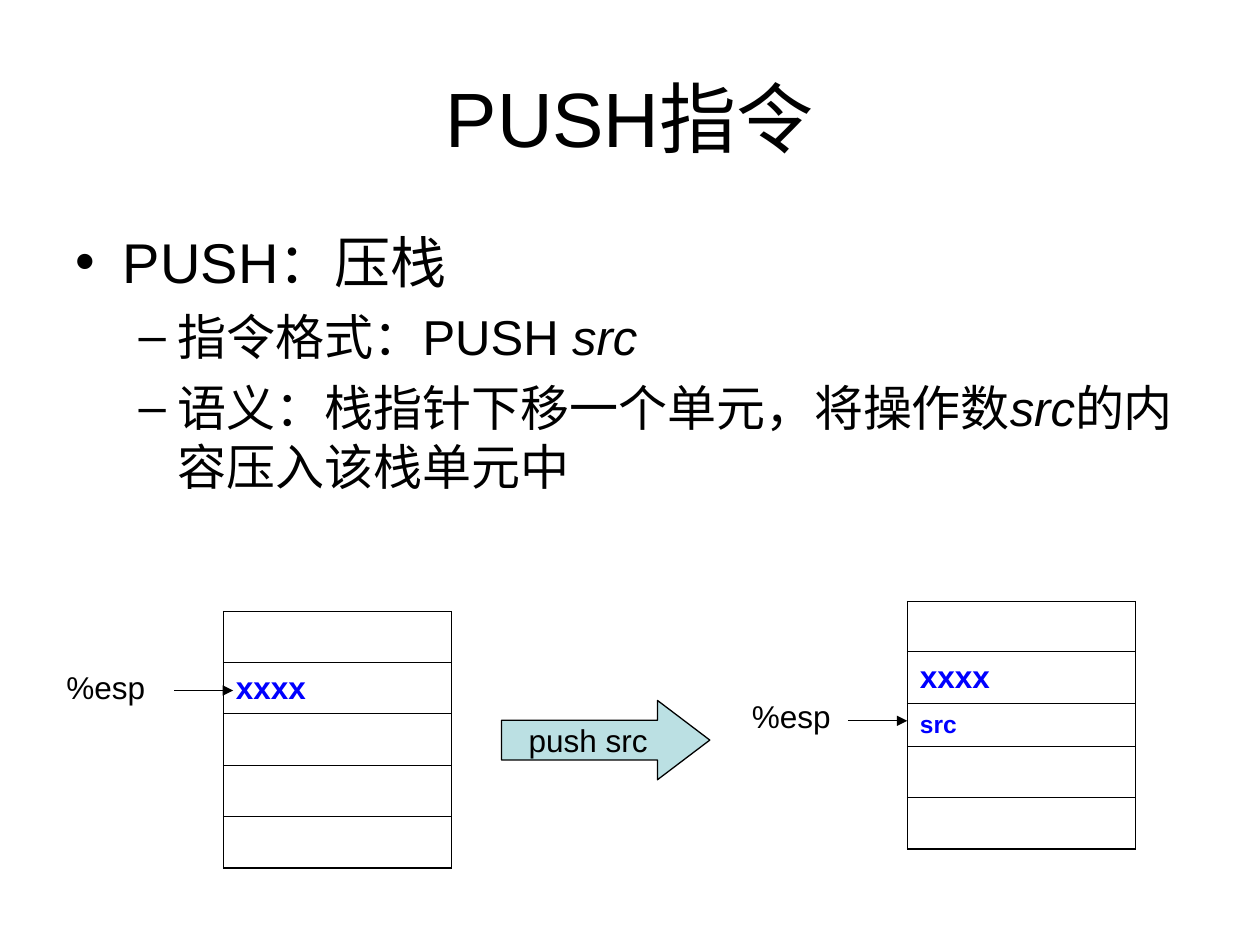
"""Build a slide that explains the PUSH instruction with a stack before and after."""
from lxml.etree import SubElement
from pptx import Presentation
from pptx.dml.color import RGBColor
from pptx.enum.shapes import MSO_CONNECTOR, MSO_SHAPE
from pptx.enum.text import MSO_ANCHOR, MSO_AUTO_SIZE, PP_ALIGN
from pptx.oxml.ns import qn
from pptx.util import Cm, Pt

BLACK = RGBColor(0, 0, 0)
BLUE = RGBColor(0, 0, 255)
TEAL = RGBColor(0xBB, 0xE0, 0xE3)


def write(para, text, size=18, color=BLACK, bold=False, italic=False):
    run = para.add_run()
    run.text = text
    font = run.font
    font.name, font.size = "Arial", Pt(size)
    font.bold, font.italic = bold, italic
    font.color.rgb = color


def edge(cell, side, width):
    line = SubElement(cell._tc.get_or_add_tcPr(), qn(f"a:ln{side}"), w=str(Pt(width)))
    fill = SubElement(line, qn("a:solidFill"))
    SubElement(fill, qn("a:srgbClr"), val=str(BLACK))


deck = Presentation()
deck.slide_width, deck.slide_height = Cm(25.4), Cm(19.05)
slide = deck.slides.add_slide(deck.slide_layouts[1])
shapes = slide.shapes

title = shapes.title
title.left, title.top, title.width, title.height = Cm(1.27), Cm(0.76), Cm(22.86), Cm(3.18)
title.text_frame.vertical_anchor = MSO_ANCHOR.MIDDLE
title.text_frame.paragraphs[0].alignment = PP_ALIGN.CENTER
write(title.text_frame.paragraphs[0], "PUSH指令", size=44)

body = slide.placeholders[1]
body.left, body.top, body.width, body.height = Cm(1.27), Cm(4.45), Cm(22.86), Cm(5.87)
frame = body.text_frame
frame.auto_size = MSO_AUTO_SIZE.NONE
points = [
    (0, 32, 0, ["PUSH：压栈"]),
    (1, 28, 7, ["指令格式：PUSH ", "src"]),
    (1, 28, 7, ["语义：栈指针下移一个单元，将操作数", "src", "的内容压入该栈单元中"]),
]
for i, (level, size, gap, parts) in enumerate(points):
    para = frame.add_paragraph() if i else frame.paragraphs[0]
    para.level, para.space_before = level, Pt(gap)
    for part in parts:
        write(para, part, size=size, italic=part == "src")

stacks = [
    (4.5, 12.32, {1: ("xxxx", 18)}, 1.09, 13.34, 3.51, 4.7, 13.92),
    (18.29, 12.12, {1: ("xxxx", 18), 2: ("src", 14)}, 14.91, 13.92, 17.09, 18.29, 14.53),
]
heights = [1.02, 1.04, 0.86, 1.04, 1.04]
for left, top, words, tag_x, tag_y, start, end, level in stacks:
    grid = shapes.add_table(5, 1, Cm(left), Cm(top), Cm(4.6), Cm(sum(heights))).table
    grid.first_row = grid.horz_banding = False
    for i, height in enumerate(heights):
        grid.rows[i].height = Cm(height)
        cell = grid.cell(i, 0)
        cell.vertical_anchor = MSO_ANCHOR.MIDDLE
        for side in "LRTB":
            edge(cell, side, 1.08 if side == "B" and i == 4 else 0.45)
        cell.fill.background()
        if i in words:
            text, size = words[i]
            write(cell.text_frame.paragraphs[0], text, size=size, color=BLUE, bold=True)

    tag = shapes.add_textbox(Cm(tag_x), Cm(tag_y), Cm(2.2), Cm(1.02)).text_frame
    tag.word_wrap = True
    tag.auto_size = MSO_AUTO_SIZE.SHAPE_TO_FIT_TEXT
    write(tag.paragraphs[0], "%esp")

    link = shapes.add_connector(MSO_CONNECTOR.STRAIGHT, Cm(start), Cm(level), Cm(end), Cm(level))
    link.line.color.rgb, link.line.width = BLACK, Pt(0.75)
    SubElement(link.line._get_or_add_ln(), qn("a:tailEnd"), type="triangle")
    SubElement(link._element.spPr, qn("a:effectLst"))

arrow = shapes.add_shape(MSO_SHAPE.RIGHT_ARROW, Cm(10.11), Cm(14.12), Cm(4.2), Cm(1.6))
arrow.adjustments[1] = 0.66
arrow.shadow.inherit = False
arrow.fill.solid()
arrow.fill.fore_color.rgb = TEAL
arrow.line.color.rgb, arrow.line.width = BLACK, Pt(0.75)
arrow.text_frame.word_wrap = False
arrow.text_frame.vertical_anchor = MSO_ANCHOR.MIDDLE
arrow.text_frame.paragraphs[0].alignment = PP_ALIGN.CENTER
write(arrow.text_frame.paragraphs[0], "push src ")

deck.save("out.pptx")
